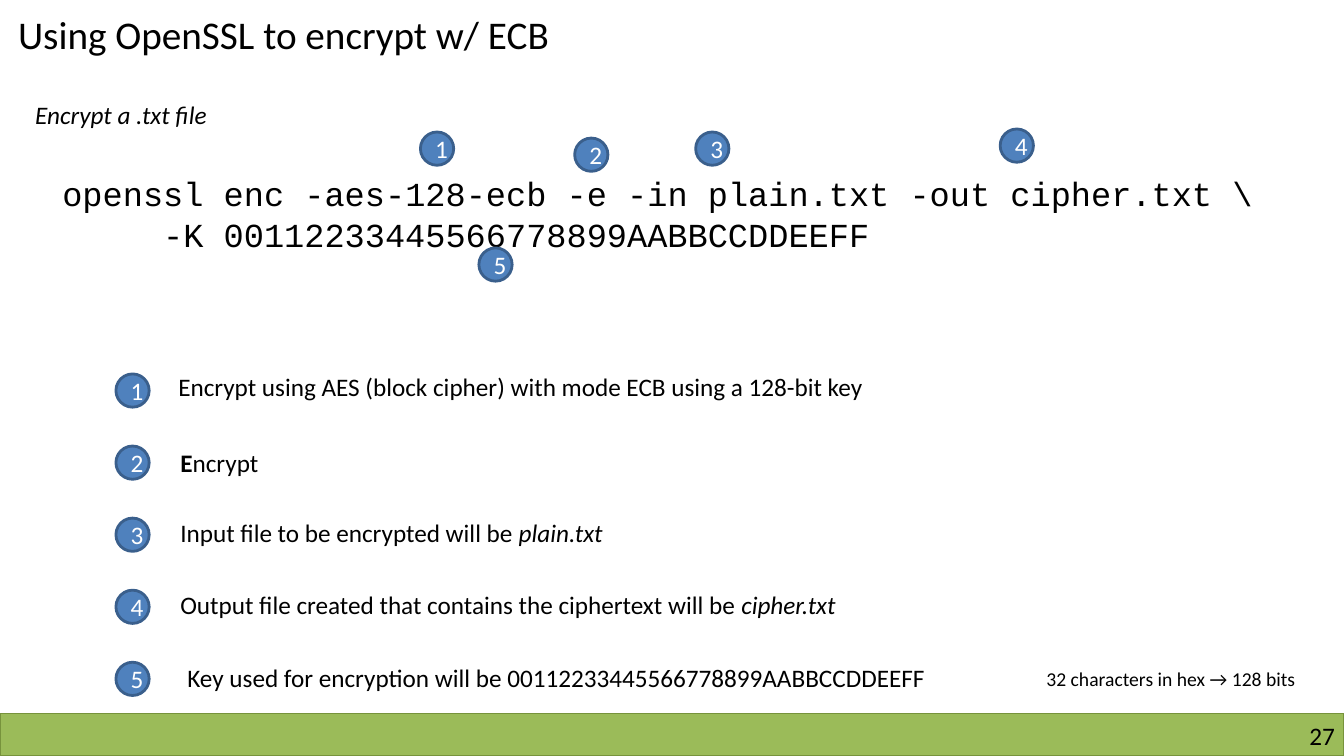
import pptx
import pptx.util
import pptx.dml.color
import pptx.enum.shapes
import pptx.enum.text

RGB = pptx.dml.color.RGBColor
BLACK, WHITE = RGB(0, 0, 0), RGB(255, 255, 255)
BLUE, NAVY = RGB(0x4F, 0x81, 0xBD), RGB(0x3A, 0x5F, 0x8C)
GREEN, OLIVE = RGB(0x9B, 0xBB, 0x59), RGB(0x77, 0x93, 0x3C)
ALIGN = pptx.enum.text.PP_ALIGN
ANCHOR = pptx.enum.text.MSO_ANCHOR
SHAPE = pptx.enum.shapes.MSO_SHAPE
PX = 9144  # 100 px to the inch

# Content: each line is a list of (text, format) runs
TITLE = "Using OpenSSL to encrypt w/ ECB"
PAGE = "27"
BOLD, SLANT = {"bold": True}, {"italic": True}
CODE = [[(r"openssl enc -aes-128-ecb -e -in plain.txt -out cipher.txt \ ".strip(), {})],
        [("-K 00112233445566778899AABBCCDDEEFF", {})]]
INTRO = [[("Encrypt a .txt file", SLANT)]]
HINT = [[("32 characters in hex → 128 bits", {})]]
MARKS = [(417, 131), (570, 137), (690, 131), (992, 128), (475, 246)]
STEPS = [  # left, top, width, runs
    (167, 363, 787, [("Encrypt using AES (block cipher) with mode ECB using a 128-bit key", {})]),
    (169, 439, 106, [("E", BOLD), ("ncrypt", {})]),
    (169, 508, 468, [("Input file to be encrypted will be ", {}), ("plain.txt", SLANT)]),
    (169, 580, 721, [("Output file created that contains the ciphertext will be ", {}),
                     ("cipher.txt", SLANT)]),
    (176, 652, 855, [("Key used for encryption will be 00112233445566778899AABBCCDDEEFF", {})]),
]
BALL, KEY_X, KEY_Y, KEY_GAP = 33, 115, 371, 71.5


def scale(*vals):
    return [round(v * PX) for v in vals]


def style(font, size, color=BLACK, name="Calibri", **more):
    form = {"size": pptx.util.Pt(size), "name": name, **more}
    for key, val in form.items():
        setattr(font, key, val)
    font.color.rgb = color


def write(frame, lines, size, align=ALIGN.LEFT, **form):
    frame.word_wrap = True
    for i, runs in enumerate(lines):
        para = frame.add_paragraph() if i else frame.paragraphs[0]
        para.alignment = align
        for text, more in runs:
            run = para.add_run()
            run.text = text
            style(run.font, size, **form, **more)


def label(box, lines, size, **form):
    frame = slide.shapes.add_textbox(*scale(*box)).text_frame
    write(frame, lines, size, **form)
    return frame


def draw(kind, box, fill, line, width):
    shape = slide.shapes.add_shape(kind, *scale(*box))
    shape.shadow.inherit = False
    shape.fill.solid()
    shape.fill.fore_color.rgb = fill
    shape.line.color.rgb = line
    shape.line.width = pptx.util.Pt(width)
    return shape


def badge(num, left, top):
    ball = draw(SHAPE.OVAL, (left, top, BALL, BALL), BLUE, NAVY, 2)
    ball.text_frame.vertical_anchor = ANCHOR.MIDDLE
    write(ball.text_frame, [[(str(num), {})]], 18, ALIGN.CENTER, color=WHITE)


deck = pptx.Presentation()
deck.slide_width, deck.slide_height = scale(1333, 750)
slide = deck.slides.add_slide(deck.slide_layouts[5])

# Footer bar and page number
draw(SHAPE.RECTANGLE, (0, 708, 1333, 42), GREEN, OLIVE, 1)
foot = label((1017, 715, 307, 30), [[(PAGE, {})]], 18, align=ALIGN.RIGHT)
for side in ("left", "top", "right", "bottom"):
    setattr(foot, "margin_" + side, 0)

# Title
title = slide.shapes.title
title.left, title.top, title.width, title.height = scale(8, 5, 1158, 57)
title.text_frame.vertical_anchor = ANCHOR.TOP
title.text_frame.auto_size = pptx.enum.text.MSO_AUTO_SIZE.NONE
write(title.text_frame, [[(TITLE, {})]], 28)

# Command, its second line indented by an inch
code = label((52, 167, 1230, 91), CODE, 24, name="Courier New")
code.paragraphs[1]._p.get_or_add_pPr().set("marL", str(100 * PX))
label((25, 94, 214, 40), INTRO, 18)

# Numbered marks on the command and their key
for num, (spot, step) in enumerate(zip(MARKS, STEPS), 1):
    badge(num, *spot)
    badge(num, KEY_X, KEY_Y + (num - 1) * KEY_GAP)
    left, top, width, runs = step
    label((left, top, width, 40), [runs], 18)
label((1028, 657, 295, 34), HINT, 14)

deck.save("out.pptx")
